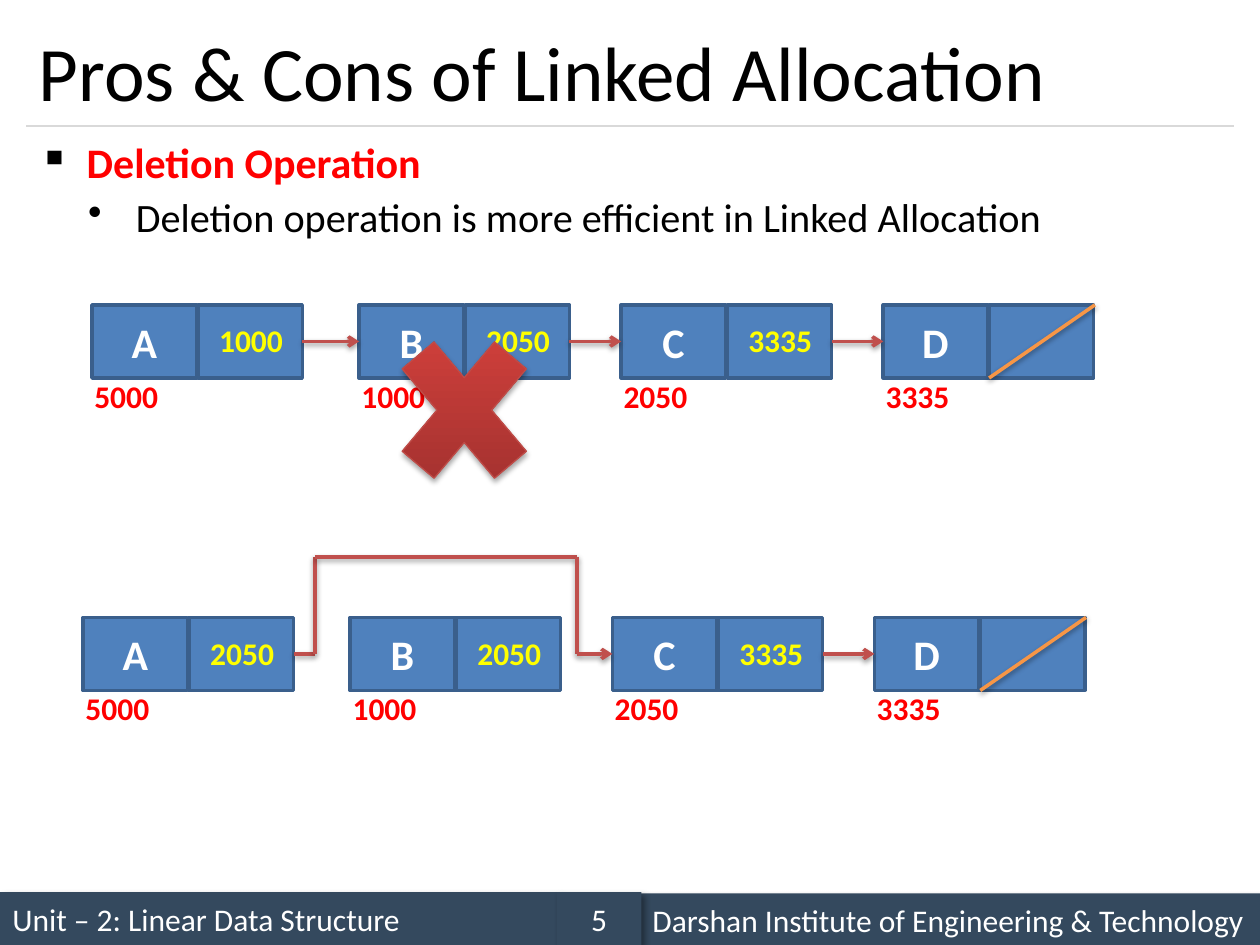
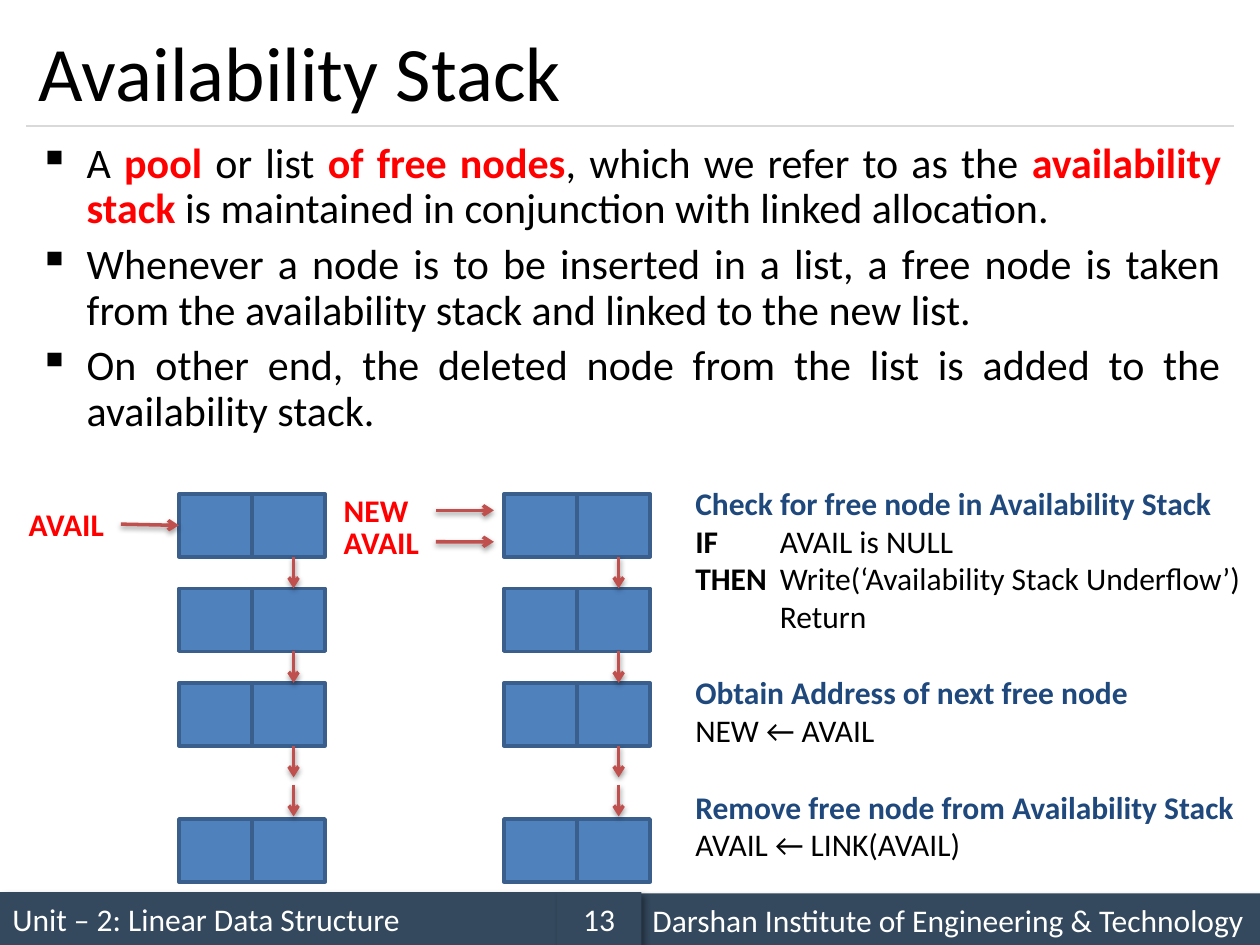
from dataclasses import dataclass
from itertools import pairwise

from lxml.etree import SubElement
from pptx import Presentation
from pptx.dml.color import RGBColor
from pptx.enum.shapes import MSO_CONNECTOR, MSO_SHAPE
from pptx.enum.text import MSO_ANCHOR, MSO_AUTO_SIZE, PP_ALIGN
from pptx.oxml.ns import qn
from pptx.util import Inches, Pt


@dataclass(frozen=True)
class Theme:
    font: str = "Calibri"
    ink: str = "000000"
    white: str = "FFFFFF"
    red: str = "FF0000"
    yellow: str = "FFFF00"
    navy: str = "1F497D"
    band: str = "34495E"
    rule: str = "D9D9D9"
    cell: str = "4F81BD"
    cell_edge: str = "3A5F8C"
    arrow: str = "C0504D"
    null_mark: str = "F79646"
    cross_edge: str = "BF4C48"
    cross_dark: str = "9C2F2D"
    cross_light: str = "CB3E3A"
    title_size: float = 44
    body_size: float = 24
    sub_size: float = 23
    small_size: float = 18
    # Shadows: opacity %, blur pt, distance pt, direction in degrees
    band_shadow: tuple = (40, 4, 3, 45)
    line_shadow: tuple = (38, 3.1, 1.6, 90)
    cross_shadow: tuple = (35, 3.1, 1.8, 90)


THEME = Theme()
LEFT, RIGHT = 1, 3  # connection sites of a rectangle


def rgb(value):
    return RGBColor.from_string(value)


def add_run(paragraph, text, size, color=THEME.ink, bold=False):
    run = paragraph.add_run()
    run.text = text
    run.font.name = THEME.font
    run.font.size = Pt(size)
    run.font.bold = bold
    run.font.color.rgb = rgb(color)


def cast_shadow(shape, shadow):
    properties = shape._element.spPr
    effects = properties.find(qn("a:effectLst"))
    if effects is None:
        effects = SubElement(properties, qn("a:effectLst"))
    if shadow:
        opacity, blur, distance, direction = shadow
        outer = SubElement(effects, qn("a:outerShdw"), blurRad=str(Pt(blur)),
                           dist=str(Pt(distance)), dir=str(direction * 60000),
                           algn="ctr", rotWithShape="0")
        color = SubElement(outer, qn("a:srgbClr"), val=THEME.ink)
        SubElement(color, qn("a:alpha"), val=str(opacity * 1000))


def add_box(slide, left, top, width, height, fill, edge=None, text="",
            size=THEME.body_size, bold=False, align=PP_ALIGN.CENTER):
    box = slide.shapes.add_shape(MSO_SHAPE.RECTANGLE, Inches(left), Inches(top),
                                 Inches(width), Inches(height))
    box.shadow.inherit = False
    box.fill.solid()
    box.fill.fore_color.rgb = rgb(fill)
    if edge:
        box.line.color.rgb = rgb(edge)
        box.line.width = Pt(2)
    else:
        box.line.fill.background()
    if text:
        box.text_frame.vertical_anchor = MSO_ANCHOR.MIDDLE
        paragraph = box.text_frame.paragraphs[0]
        paragraph.alignment = align
        add_run(paragraph, text, size, THEME.white, bold)
    return box


def add_text_area(slide, left, top, width, height):
    area = slide.shapes.add_textbox(Inches(left), Inches(top), Inches(width), Inches(height))
    area.text_frame.word_wrap = True
    return area


def add_label(slide, text, left, top, width=0.71, color=THEME.red):
    label = add_text_area(slide, left, top, width, 0.4)
    label.text_frame.word_wrap = False
    label.text_frame.auto_size = MSO_AUTO_SIZE.SHAPE_TO_FIT_TEXT
    add_run(label.text_frame.paragraphs[0], text, THEME.small_size, color, True)
    return label


def add_line(slide, start, end, color=THEME.arrow, width=2, arrow=False,
             shadow=THEME.line_shadow, source=None, target=None):
    line = slide.shapes.add_connector(MSO_CONNECTOR.STRAIGHT, *map(Inches, start + end))
    line.line.color.rgb = rgb(color)
    line.line.width = Pt(width)
    if arrow:
        SubElement(line._element.spPr.find(qn("a:ln")), qn("a:tailEnd"), type="arrow")
    cast_shadow(line, shadow)
    if source:
        line.begin_connect(source, RIGHT)
    if target:
        line.end_connect(target, LEFT)


def add_bullets(slide, height, items):
    """Each item is (level, size, runs); a run is (text, color, bold)."""
    frame = add_text_area(slide, 0.21, 1.08, 9.58, height).text_frame
    for index, (level, size, runs) in enumerate(items):
        paragraph = frame.add_paragraph() if index else frame.paragraphs[0]
        properties = paragraph._p.get_or_add_pPr()
        properties.set("marL", str(Inches((0.38, 0.77)[level])))
        properties.set("indent", str(Inches(-0.38)))
        bullet_color = SubElement(properties, qn("a:buClr"))
        SubElement(bullet_color, qn("a:srgbClr"), val=THEME.ink)
        SubElement(properties, qn("a:buChar"), char="▪•"[level])
        paragraph.level = level
        paragraph.alignment = PP_ALIGN.JUSTIFY
        paragraph.line_spacing = 0.9
        if index:
            paragraph.space_before = Pt(6)
        for text, color, bold in runs:
            add_run(paragraph, text, size, color, bold)


def add_base_slide(deck, title, number):
    slide = deck.slides.add_slide(deck.slide_layouts[6])
    # Footer bands and title rule
    footer = [
        (0, 7.08, 4.42, "Unit – 2: Linear Data Structure", PP_ALIGN.LEFT),
        (5.08, 7.09, 4.92, "Darshan Institute of Engineering & Technology", PP_ALIGN.LEFT),
        (4.42, 7.08, 0.67, str(number), PP_ALIGN.CENTER),
    ]
    for left, top, width, text, align in footer:
        band = add_box(slide, left, top, width, 0.42, THEME.band, text=text,
                       size=THEME.small_size, align=align)
        cast_shadow(band, THEME.band_shadow)
    add_line(slide, (0.21, 1), (9.79, 1), THEME.rule, 0.75, shadow=None)
    # Title
    heading = add_text_area(slide, 0.21, 0.12, 9.58, 0.88).text_frame
    heading.vertical_anchor = MSO_ANCHOR.MIDDLE
    add_run(heading.paragraphs[0], title, THEME.title_size)
    return slide


def add_node(slide, left, top, width, height, step, name=""):
    data, link = (
        add_box(slide, left + offset, top, width, height, THEME.cell, THEME.cell_edge,
                text, bold=True)
        for offset, text in ((0, name), (step, "")))
    return data, link


def add_linked_list(slide, left, top, links, skipped=()):
    """Draw nodes A to D; arrows that leave a skipped node index are left out."""
    offsets = (0, 2.12, 4.2, 6.28)
    step, width, height = 0.84, 0.83, 0.58
    middle = top + height / 2
    nodes = [add_node(slide, left + offset, top, width, height, step, name)
             for offset, name in zip(offsets, "ABCD")]
    for index, ((_, link), (data, _)) in enumerate(pairwise(nodes)):
        if index not in skipped:
            add_line(slide, (left + offsets[index] + step + width, middle),
                     (left + offsets[index + 1], middle), arrow=True,
                     source=link, target=data)
    # Null mark in the last link field
    null_left = left + offsets[-1] + step
    add_line(slide, (null_left + step, top), (null_left, top + height), THEME.null_mark)
    for offset, address in zip(offsets, ("5000", "1000", "2050", "3335")):
        add_label(slide, address, left + offset - 0.08, top + 0.52)
    for offset, link_value in zip(offsets, links):
        add_label(slide, link_value, left + offset + 0.91, top + 0.08, color=THEME.yellow)
    return nodes


def add_cross(slide, left, top, width, height):
    cross = slide.shapes.add_shape(MSO_SHAPE.MATH_MULTIPLY, Inches(left), Inches(top),
                                   Inches(width), Inches(height))
    cross.shadow.inherit = False
    cross.fill.gradient()
    cross.fill.gradient_angle = 90
    dark, light = cross.fill.gradient_stops
    dark.color.rgb, dark.position = rgb(THEME.cross_dark), 0
    light.color.rgb, light.position = rgb(THEME.cross_light), 0.8
    cross.line.color.rgb = rgb(THEME.cross_edge)
    cross.line.width = Pt(0.75)
    cast_shadow(cross, THEME.cross_shadow)


def add_free_stack(slide, left):
    """Draw a column of free nodes and return the top data cell."""
    tops = (3.92, 4.67, 5.42, 6.5)
    nodes = [add_node(slide, left, top, 0.58, 0.5, 0.58) for top in tops]
    arrow_x = left + 0.91
    for arrow_top in (4.42, 5.17, 5.92, 6.23):
        add_line(slide, (arrow_x, arrow_top), (arrow_x, arrow_top + 0.25), arrow=True)
    return nodes[0][0]


def add_algorithm(slide, steps):
    """Each step is a heading and its lines; a line is (keyword, rest)."""
    frame = add_text_area(slide, 5.42, 3.79, 4.58, 3.13).text_frame
    for index, (heading, lines) in enumerate(steps):
        paragraph = frame.add_paragraph() if index else frame.paragraphs[0]
        if index:
            paragraph.space_before = Pt(22)
        add_run(paragraph, heading, THEME.small_size, THEME.navy, True)
        for keyword, rest in lines:
            paragraph = frame.add_paragraph()
            if "\t" in rest:
                tabs = SubElement(paragraph._p.get_or_add_pPr(), qn("a:tabLst"))
                SubElement(tabs, qn("a:tab"), pos=str(Inches(0.67)), algn="l")
            if keyword:
                add_run(paragraph, keyword, THEME.small_size, bold=True)
            add_run(paragraph, rest, THEME.small_size)


def build_deletion(deck):
    slide = add_base_slide(deck, "Pros & Cons of Linked Allocation", 5)
    add_bullets(slide, 0.98, [
        (0, THEME.body_size, [("Deletion Operation", THEME.red, True)]),
        (1, THEME.sub_size, [("Deletion operation is more efficient in Linked Allocation",
                              THEME.ink, False)]),
    ])
    # Before deletion
    add_linked_list(slide, 0.73, 2.42, ("1000", "2050", "3335"))
    add_cross(slide, 2.98, 2.42, 1.41, 1.67)
    # After deletion: A bypasses B and points to C
    nodes = add_linked_list(slide, 0.66, 4.9, ("2050", "2050", "3335"), skipped=(0, 1))
    bypass = [(2.34, 5.19), (2.5, 5.19), (2.5, 4.42), (4.58, 4.42), (4.58, 5.19), (4.86, 5.19)]
    segments = list(pairwise(bypass))
    add_line(slide, *segments[0], source=nodes[0][1])
    for segment in segments[1:-1]:
        add_line(slide, *segment)
    add_line(slide, *segments[-1], arrow=True, target=nodes[2][0])


def build_availability(deck):
    slide = add_base_slide(deck, "Availability Stack", 13)
    plain, strong = (THEME.ink, False), (THEME.red, True)
    add_bullets(slide, 2.67, [(0, THEME.body_size, runs) for runs in (
        [("A ", *plain), ("pool", *strong), (" or list ", *plain),
         ("of free nodes", *strong), (", which we refer to as the ", *plain),
         ("availability stack", *strong),
         (" is maintained in conjunction with linked allocation.", *plain)],
        [("Whenever a node is to be inserted in a list, a free node is taken from the "
          "availability stack and linked to the new list.", *plain)],
        [("On other end, the deleted node from the list is added to the "
          "availability stack.", *plain)],
    )])
    # Stack before and after taking a node
    first_free = add_free_stack(slide, 1.42)
    add_free_stack(slide, 4)
    avail = add_label(slide, "AVAIL", 0.13, 3.96, 0.83)
    add_line(slide, (0.96, 4.17), (1.42, 4.17), arrow=True, source=avail, target=first_free)
    for pointer, top in (("AVAIL", 4.1), ("NEW", 3.85)):
        label = add_label(slide, pointer, 2.63, top, 0.83)
        add_line(slide, (3.46, top + 0.2), (3.92, top + 0.2), arrow=True, source=label)
    # Algorithm
    add_algorithm(slide, [
        ("Check for free node in Availability Stack", [
            ("IF", "\tAVAIL is NULL"),
            ("THEN", "\tWrite(‘Availability Stack Underflow’)"),
            ("", "\tReturn")]),
        ("Obtain Address of next free node", [("", "NEW ← AVAIL")]),
        ("Remove free node from Availability Stack", [("", "AVAIL ← LINK(AVAIL)")]),
    ])


def main():
    deck = Presentation()
    deck.slide_width, deck.slide_height = Inches(10), Inches(7.5)
    build_deletion(deck)
    build_availability(deck)
    deck.save("out.pptx")


if __name__ == "__main__":
    main()
